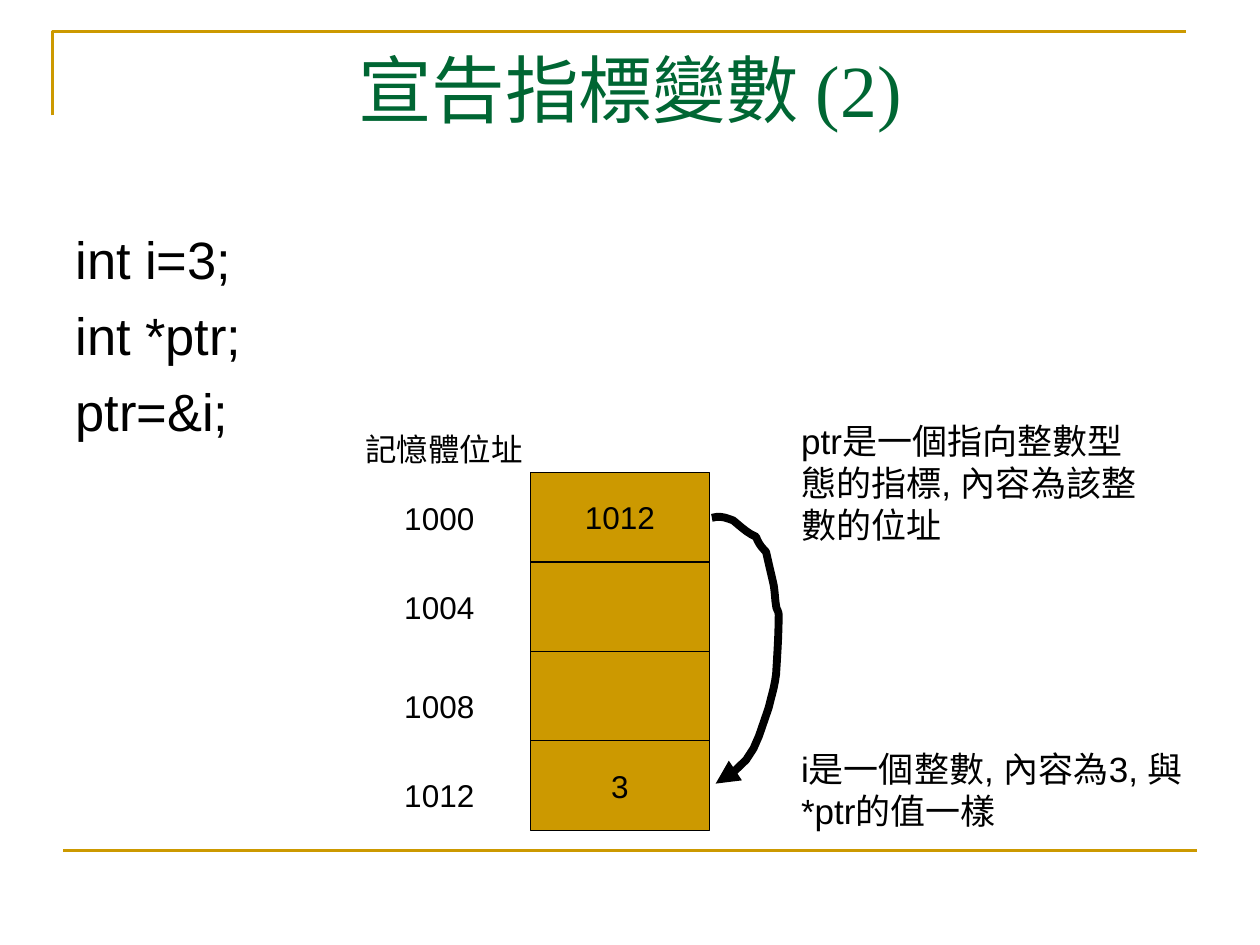
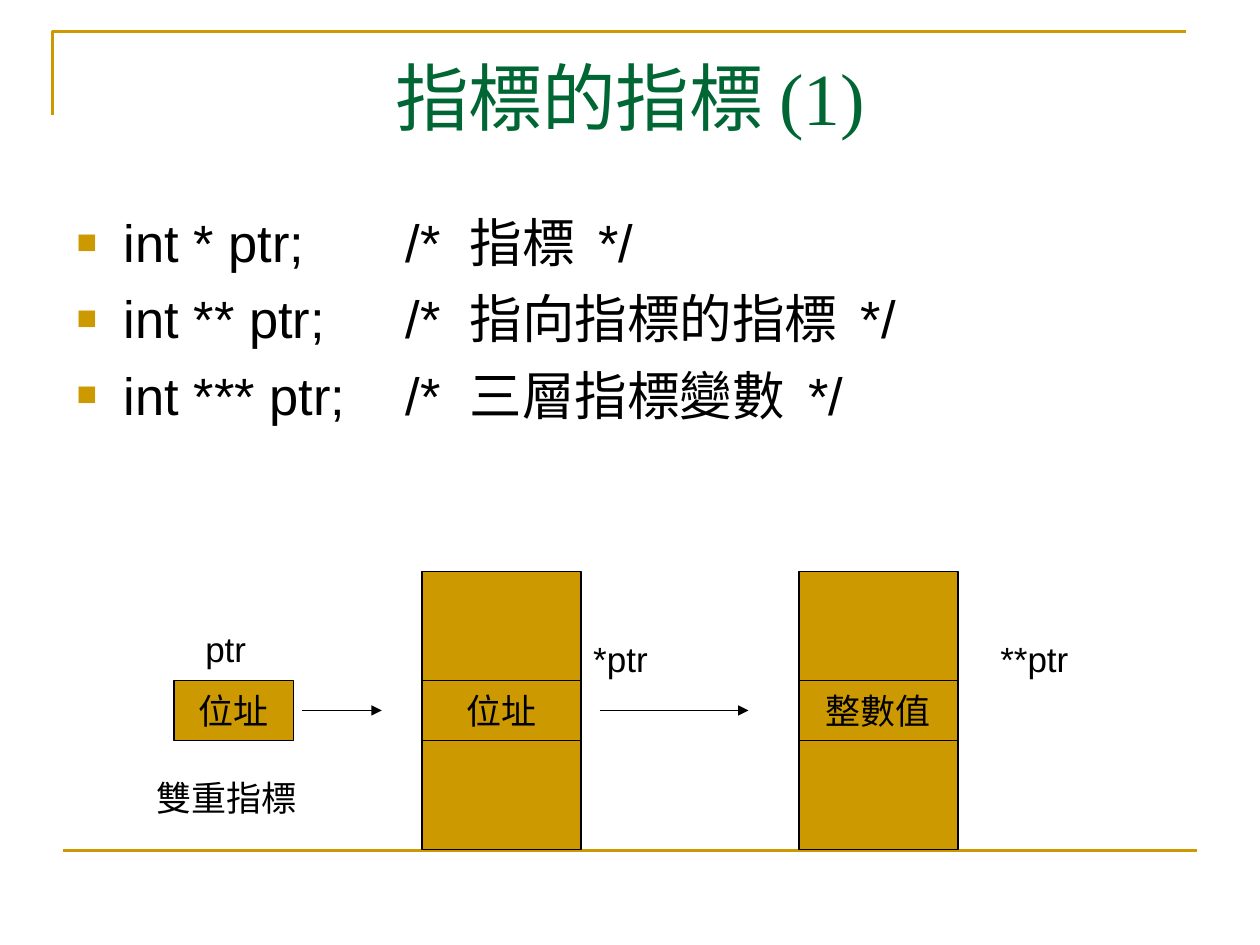
from dataclasses import dataclass

from lxml import etree
from pptx import Presentation
from pptx import util as u
from pptx.dml.color import RGBColor
from pptx.enum import shapes, text
from pptx.oxml import ns


@dataclass(frozen=True)
class Theme:
    gold: str = "CC9900"
    green: str = "006633"
    black: str = "000000"
    title_font: str = "Times New Roman"
    body_font: str = "Arial"
    title_size: float = 42
    code_size: float = 30
    note_size: float = 20
    memory_size: float = 18
    rule_width: float = 1.5
    thin_line: float = 0.75
    pointer_line: float = 4.5


THEME = Theme()

# Content: boxes are (left, top, width, height) in points
DECLARATION = {
    "title": ("宣告指標變數 (2)", (36, 21.6, 648, 90)),
    "code": (["int i=3;", "int *ptr;", "ptr=&i;"], (36, 126, 648, 356)),
    "cells": ["1012", "", "", "3"],
    "addresses": [("1000", 281.5), ("1004", 332.6), ("1008", 388.8), ("1012", 439.9)],
    "heading": ("記憶體位址", (201.6, 242, 118.8, 28.8)),
    "notes": [
        ("ptr是一個指向整數型態的指標, 內容為該整數的位址", (450.7, 236.2, 209.5, 79.2)),
        ("i是一個整數, 內容為3, 與*ptr的值一樣", (450.7, 423.4, 232.6, 55.4)),
    ],
}
POINTER_START = (406.8, 295.9)
POINTER_CURVES = [  # two control points and an end point each
    ((411.8, 294.5), (414.7, 295.9), (419, 297.4)),
    ((423.4, 301), (427, 304.6), (432, 306.7)),
    ((433.4, 310.3), (434.9, 312.5), (437.8, 315.4)),
    ((439.2, 321.8), (440.6, 327.6), (442.1, 334.1)),
    ((442.8, 337.7), (442.8, 342), (443.5, 346.3)),
    ((443.5, 347.8), (445, 349.2), (445, 351.4)),
    ((445, 362.2), (444.2, 373.7), (443.5, 385.2)),
    ((442.8, 391.7), (440.6, 398.9), (439.2, 404.6)),
    ((434.2, 418.3), (432, 431.3), (420.5, 439.9)),
    ((417.6, 442.8), (416.9, 444.2), (412.6, 445.7)),
    ((409.7, 448.6), (411.1, 447.8), (409, 447.8)),
]
DOUBLE_POINTER = {
    "title": ("指標的指標 (1)", (40.3, 25.9, 639.4, 81.4)),
    "code": (
        ["int * ptr;\t/*  指標  */",
         "int ** ptr;\t/*  指向指標的指標  */",
         "int *** ptr;\t/*  三層指標變數  */"],
        (36.7, 116.6, 648, 356),
    ),
    "pointer": ("位址", (99.4, 389)),
    "blocks": [("位址", 241.2), ("整數值", 456.5)],
    "labels": [
        ("ptr", (110.2, 355, 56.9, 31.7)),
        ("雙重指標", (82.1, 439.9, 141.8, 31.7)),
        ("*ptr", (331.9, 360.7, 85, 31.7)),
        ("**ptr", (564.5, 360.7, 85, 31.7)),
    ],
    "arrows": [(172.8, 218.2), (342.7, 427.7)],
}


# Formatting helpers
def points(values):
    return [u.Pt(value) for value in values]


def color(value):
    return RGBColor.from_string(value)


def add_xml(parent, tag, **values):
    return etree.SubElement(parent, ns.qn(tag), values)


def style_line(item, value, width):
    item.line.color.rgb = color(value)
    item.line.width = u.Pt(width)


def add_arrowhead(item):
    outline = item._element.spPr.find(ns.qn("a:ln"))
    add_xml(outline, "a:tailEnd", type="triangle")


def write(frame, lines, size, font=THEME.body_font, ink=THEME.black,
          align=text.PP_ALIGN.LEFT, gap=0, bullet_tab=None):
    for index, line in enumerate(lines):
        para = frame.paragraphs[0] if index == 0 else frame.add_paragraph()
        span = para.add_run()
        span.text = line
        if bullet_tab:
            add_bullet(para, bullet_tab)
        para.alignment = align
        para.space_before = u.Pt(gap if index else 0)
        for name, value in {"name": font, "size": u.Pt(size)}.items():
            setattr(span.font, name, value)
        span.font.color.rgb = color(ink)


def add_bullet(para, tab):
    props = para._p.get_or_add_pPr()
    for name, value in {"marL": u.Pt(27), "indent": u.Pt(-27)}.items():
        props.set(name, str(value))
    add_xml(add_xml(props, "a:buClr"), "a:srgbClr", val=THEME.gold)
    add_xml(props, "a:buSzPct", val="65000")
    add_xml(props, "a:buFont", typeface=THEME.body_font)
    add_xml(props, "a:buChar", char="■")
    add_xml(add_xml(props, "a:tabLst"), "a:tab", pos=str(u.Pt(tab)), algn="l")


def add_text(page, lines, area, size, **formats):
    box = page.shapes.add_textbox(*points(area))
    box.text_frame.word_wrap = True
    write(box.text_frame, lines, size, **formats)


def add_line(page, start, end, ink, width):
    line = page.shapes.add_connector(
        shapes.MSO_CONNECTOR.STRAIGHT, *points(start + end))
    style_line(line, ink, width)
    add_xml(line._element.spPr, "a:effectLst")
    return line


def add_outline(page, corners, ink, width):
    first, *rest = [points(corner) for corner in corners]
    builder = page.shapes.build_freeform(*first)
    builder.add_line_segments(rest, close=False)
    outline = builder.convert_to_shape()
    outline.shadow.inherit = False
    outline.fill.background()
    style_line(outline, ink, width)
    return outline


def add_cells(page, left, top, width, cells, size):
    """Stack (height, label) cells downwards."""
    for height, label in cells:
        cell = page.shapes.add_shape(
            shapes.MSO_SHAPE.RECTANGLE, *points((left, top, width, height)))
        cell.shadow.inherit = False
        cell.fill.solid()
        cell.fill.fore_color.rgb = color(THEME.gold)
        style_line(cell, THEME.black, THEME.thin_line)
        if label:
            cell.text_frame.word_wrap = False
            cell.text_frame.vertical_anchor = text.MSO_ANCHOR.MIDDLE
            write(cell.text_frame, [label], size, align=text.PP_ALIGN.CENTER)
        top += height


def trace_curves(start, curves, steps=5):
    """Return points along a chain of cubic curves."""
    trail = [start]
    for first, second, end in curves:
        origin = trail[-1]
        for step in range(1, steps + 1):
            t = step / steps
            weights = ((1 - t) ** 3, 3 * t * (1 - t) ** 2, 3 * t * t * (1 - t), t ** 3)
            trail.append(tuple(
                sum(weight * value for weight, value in zip(weights, axis))
                for axis in zip(origin, first, second, end)))
    return trail


# Slides
def add_page(deck, content, **code_formats):
    page = deck.slides.add_slide(deck.slide_layouts[6])
    add_outline(page, [(30, 66), (30, 18), (678, 18)], THEME.gold, THEME.rule_width)
    add_line(page, (36, 486), (684, 486), THEME.gold, THEME.rule_width)
    title, area = content["title"]
    add_text(page, [title], area, THEME.title_size, font=THEME.title_font,
             ink=THEME.green, align=text.PP_ALIGN.CENTER)
    add_text(page, *content["code"], THEME.code_size, gap=7.5, **code_formats)
    return page


def build_declaration(deck):
    page = add_page(deck, DECLARATION)
    cells = [(51.1, label) for label in DECLARATION["cells"]]
    add_cells(page, 303.1, 270, 102.2, cells, THEME.memory_size)
    for address, top in DECLARATION["addresses"]:
        add_text(page, [address], (223.9, top, 73.4, 28.8), THEME.memory_size)
    heading, area = DECLARATION["heading"]
    add_text(page, [heading], area, THEME.memory_size)
    pointer = add_outline(page, trace_curves(POINTER_START, POINTER_CURVES),
                          THEME.black, THEME.pointer_line)
    add_arrowhead(pointer)
    for note, area in DECLARATION["notes"]:
        add_text(page, [note], area, THEME.note_size)


def build_double_pointer(deck):
    page = add_page(deck, DOUBLE_POINTER, bullet_tab=188)
    label, (left, top) = DOUBLE_POINTER["pointer"]
    value_height, side_height = 34, 62.6
    add_cells(page, left, top, 68.4, [(value_height, label)], THEME.note_size)
    for label, left in DOUBLE_POINTER["blocks"]:
        cells = [(side_height, ""), (value_height, label), (side_height, "")]
        add_cells(page, left, top - side_height, 90.9, cells, THEME.note_size)
    middle = top + value_height / 2
    for start, end in DOUBLE_POINTER["arrows"]:
        arrow = add_line(page, (start, middle), (end, middle),
                         THEME.black, THEME.thin_line)
        add_arrowhead(arrow)
    for label, area in DOUBLE_POINTER["labels"]:
        add_text(page, [label], area, THEME.note_size)


def main():
    deck = Presentation()
    deck.slide_width, deck.slide_height = points((720, 540))
    build_declaration(deck)
    build_double_pointer(deck)
    deck.save("out.pptx")


if __name__ == "__main__":
    main()
